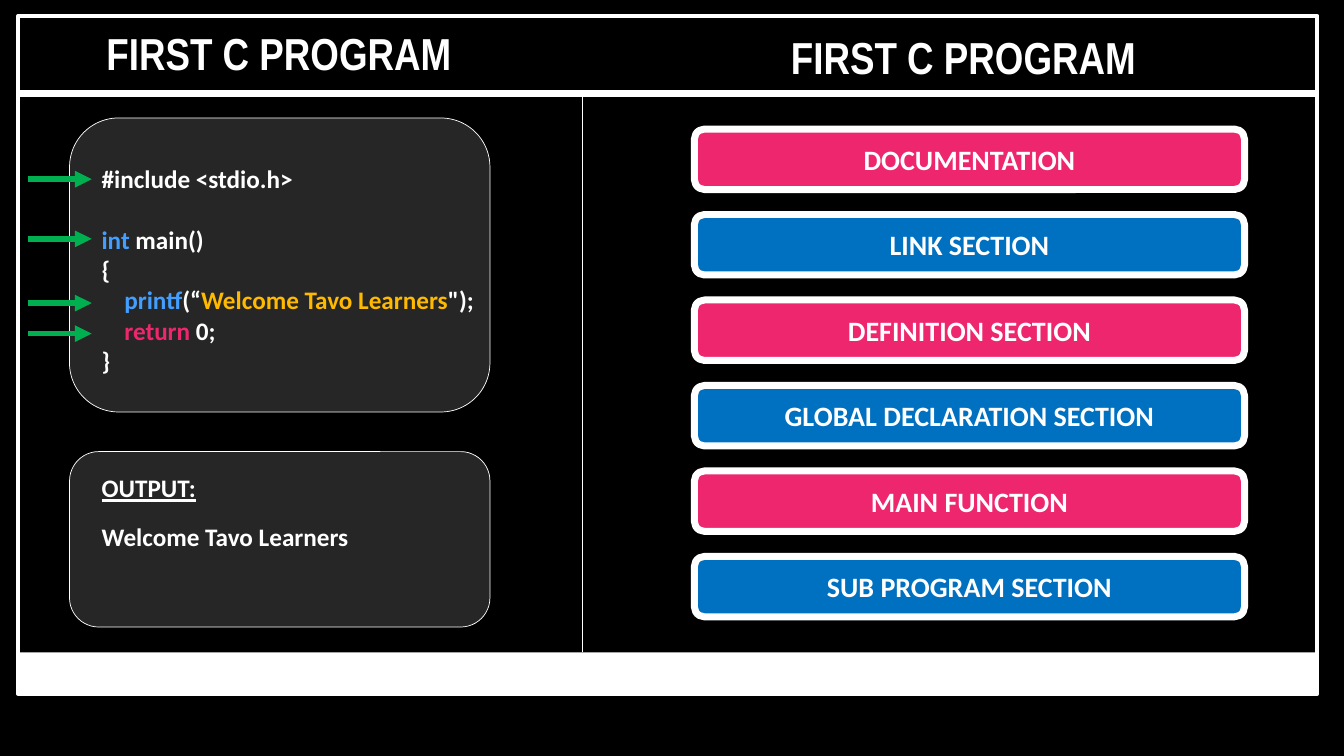
import pptx
import pptx.util
import pptx.dml.color
import pptx.oxml.ns
import pptx.enum.shapes
import pptx.enum.text
from lxml import etree

Pt = pptx.util.Pt
SHAPE = pptx.enum.shapes.MSO_SHAPE
ALIGN = pptx.enum.text.PP_ALIGN
ANCHOR = pptx.enum.text.MSO_ANCHOR

COLORS = {
    "black": "000000", "white": "FFFFFF", "panel": "262626", "green": "00B050",
    "pink": "EE266E", "blue": "0070C0", "keyword": "439FFF", "string": "FFB900",
}
TITLE = "FIRST C PROGRAM"
GREETING = "Welcome Tavo Learners"
# Each line of code: space before it, then its (text, color) runs
CODE = [
    (0, [("#include <stdio.h>", "white")]),
    (22, [("int", "keyword"), (" main()", "white")]),
    (0, [("{", "white")]),
    (0, [("    ", "white"), ("printf", "keyword"), ("(“", "white"),
         (GREETING, "string"), ("\");", "white")]),
    (0, [("    ", "white"), ("return", "pink"), (" 0;", "white")]),
    (0, [("}", "white")]),
]
OUTPUT_HEADING = "OUTPUT:"
SECTIONS = ["DOCUMENTATION", "LINK SECTION", "DEFINITION SECTION",
            "GLOBAL DECLARATION SECTION", "MAIN FUNCTION", "SUB PROGRAM SECTION"]

SLIDE_W, SLIDE_H = 960, 540
FRAME_L, FRAME_R = 11.5, 941
HEADER_Y, FOOTER_Y, DIVIDER_X = 67, 466, 416
TITLE_W, TITLE_H = 360, 46
PANEL_L, PANEL_W = 49.7, 300.3
TEXT_L = 65.5
ARROW_L = 20
ARROW_YS = [128, 170.6, 216.5, 238.3]
SECTION_L, SECTION_T, SECTION_W, SECTION_H, SECTION_STEP = 496, 92.2, 393, 43.2, 61.05


def rgb(name):
    return pptx.dml.color.RGBColor.from_string(COLORS[name])


def add_box(s, kind, left, top, width, height, fill=None, line=None, line_w=0):
    sp = s.shapes.add_shape(kind, Pt(left), Pt(top), Pt(width), Pt(height))
    sp.shadow.inherit = False
    if fill:
        sp.fill.solid()
        sp.fill.fore_color.rgb = rgb(fill)
    else:
        sp.fill.background()
    if line:
        sp.line.color.rgb = rgb(line)
        sp.line.width = Pt(line_w)
    else:
        sp.line.fill.background()
    return sp


def add_line(s, x1, y1, x2, y2, color, width, arrow=False):
    line = s.shapes.add_connector(pptx.enum.shapes.MSO_CONNECTOR.STRAIGHT,
                                  Pt(x1), Pt(y1), Pt(x2), Pt(y2))
    line.line.color.rgb = rgb(color)
    line.line.width = Pt(width)
    if arrow:
        tail = etree.SubElement(line.line._get_or_add_ln(), pptx.oxml.ns.qn("a:tailEnd"))
        tail.set("type", "triangle")
    etree.SubElement(line._element.spPr, pptx.oxml.ns.qn("a:effectLst"))


def format_paragraph(p, size, font="Calibri", align=ALIGN.LEFT):
    p.alignment = align
    p.font.size = Pt(size)
    p.font.name = font
    p.font.bold = True
    p.font.color.rgb = rgb("white")


def add_text(s, left, top, width, height):
    tf = s.shapes.add_textbox(Pt(left), Pt(top), Pt(width), Pt(height)).text_frame
    tf.word_wrap = True
    return tf


def fill_title(tf):
    tf.text = TITLE
    tf.word_wrap = True
    tf.vertical_anchor = ANCHOR.TOP
    format_paragraph(tf.paragraphs[0], 32, "Arial Narrow", ALIGN.CENTER)


def add_titles(s):
    title = s.shapes.title
    title.left, title.top = Pt(19.4), Pt(14.4)
    title.width, title.height = Pt(TITLE_W), Pt(TITLE_H)
    fill_title(title.text_frame)
    fill_title(add_text(s, 508.3, 18, TITLE_W, TITLE_H))


def add_code(s):
    add_box(s, SHAPE.ROUNDED_RECTANGLE, PANEL_L, 84.3, PANEL_W, 210, "panel", "white", 0.5)
    tf = add_text(s, TEXT_L, 113, 393, 160)
    for i, (space, runs) in enumerate(CODE):
        p = tf.paragraphs[0] if i == 0 else tf.add_paragraph()
        format_paragraph(p, 18)
        if space:
            p.space_before = Pt(space)
        for text, color in runs:
            r = p.add_run()
            r.text = text
            r.font.color.rgb = rgb(color)
    for y in ARROW_YS:
        add_line(s, ARROW_L, y, TEXT_L, y, "green", 4, arrow=True)


def add_output(s):
    add_box(s, SHAPE.ROUNDED_RECTANGLE, PANEL_L, 322.6, PANEL_W, 125.3, "panel", "white", 0.5)
    for text, top, underline in [(OUTPUT_HEADING, 334, True), (GREETING, 368.6, False)]:
        tf = add_text(s, TEXT_L, top, 220, 29)
        tf.text = text
        format_paragraph(tf.paragraphs[0], 18)
        tf.paragraphs[0].font.underline = underline


def add_sections(s):
    for i, name in enumerate(SECTIONS):
        sp = add_box(s, SHAPE.ROUNDED_RECTANGLE, SECTION_L, SECTION_T + i * SECTION_STEP,
                     SECTION_W, SECTION_H, ("pink", "blue")[i % 2], "white", 5)
        tf = sp.text_frame
        tf.text = name
        tf.vertical_anchor = ANCHOR.MIDDLE
        format_paragraph(tf.paragraphs[0], 20, align=ALIGN.CENTER)


def main():
    prs = pptx.Presentation()
    prs.slide_width, prs.slide_height = Pt(SLIDE_W), Pt(SLIDE_H)
    s = prs.slides.add_slide(prs.slide_layouts.get_by_name("Title Only"))
    s.background.fill.solid()
    s.background.fill.fore_color.rgb = rgb("black")

    add_box(s, SHAPE.RECTANGLE, 13, 11.5, 928, 484, line="white", line_w=3)
    add_box(s, SHAPE.RECTANGLE, FRAME_L, FOOTER_Y, FRAME_R - FRAME_L, 29, "white")
    add_line(s, FRAME_L, HEADER_Y, FRAME_R, HEADER_Y, "white", 5)
    add_line(s, DIVIDER_X, HEADER_Y, DIVIDER_X, FOOTER_Y, "white", 0.5)
    add_titles(s)
    add_code(s)
    add_output(s)
    add_sections(s)
    prs.save("out.pptx")


if __name__ == "__main__":
    main()
